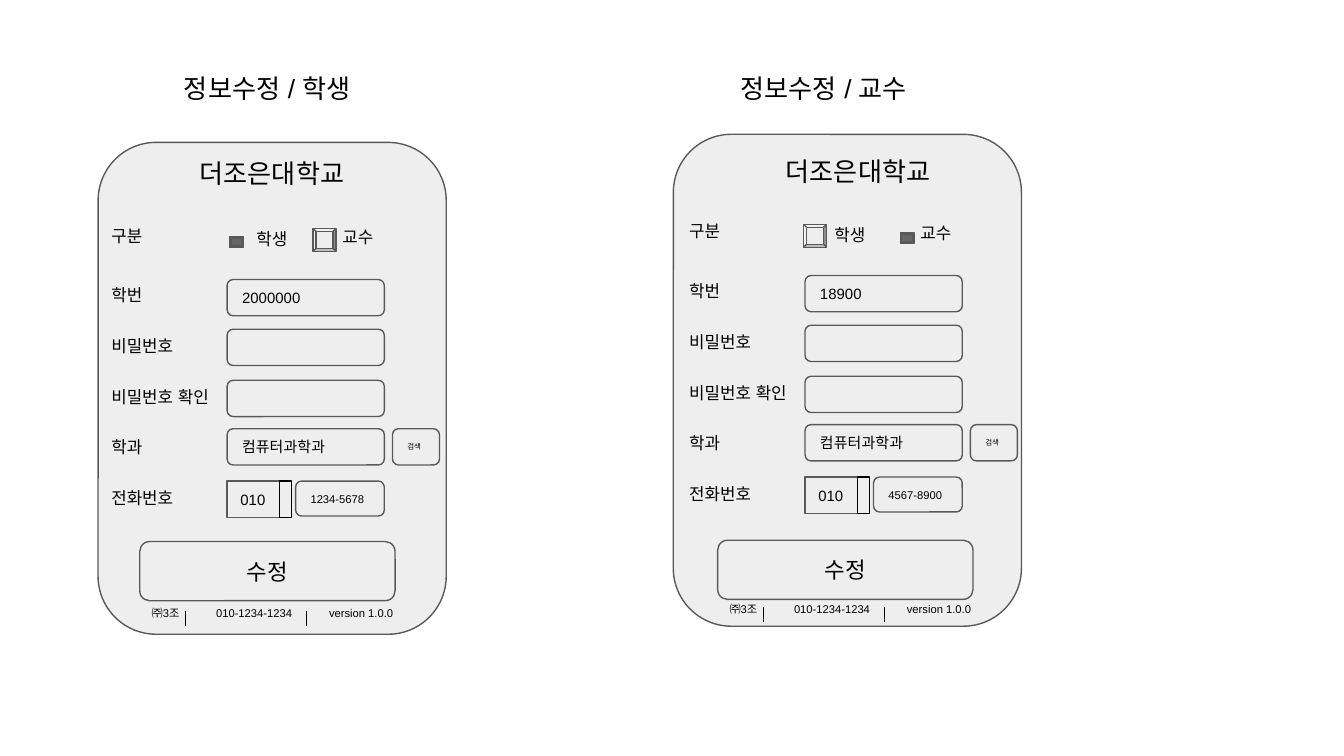
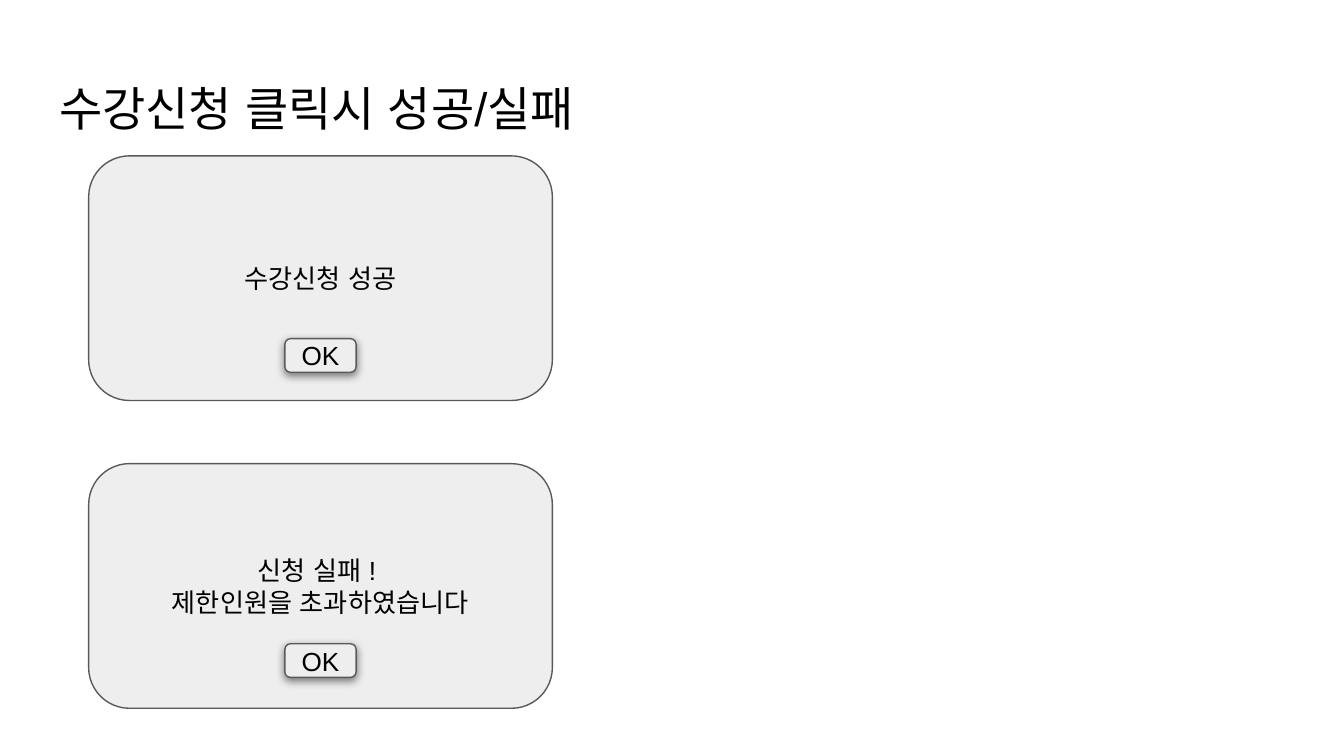
from dataclasses import dataclass

from lxml import etree
from pptx import Presentation
from pptx.dml.color import RGBColor
from pptx.enum.shapes import MSO_CONNECTOR, MSO_SHAPE
from pptx.enum.text import MSO_ANCHOR, MSO_AUTO_SIZE, PP_ALIGN
from pptx.oxml.ns import qn
from pptx.util import Inches, Pt

COLORS = {"panel": "EEEEEE", "outline": "595959", "checked": "666666", "ink": "000000"}
FONT = "Arial"
LINE_WIDTH = Pt(0.75)
FIELD_LEFT = 0.96
FIELD_SIZE = (1.17, 0.27)
LABEL_SIZE = (1.04, 0.35)
FOOTER_TABS = (0.48, 1.32)


@dataclass(frozen=True)
class Box:
    left: float
    top: float
    width: float
    height: float

    def lengths(self):
        return [Inches(value) for value in (self.left, self.top, self.width, self.height)]


@dataclass(frozen=True)
class Row:
    label: str
    label_top: float
    field_top: float


@dataclass(frozen=True)
class Option:
    label: str
    left: float
    top: float
    width: float
    height: float


@dataclass(frozen=True)
class Form:
    """One phone screen; left and top are the origin of its contents."""
    heading: str
    heading_box: Box
    panel: Box
    school_box: Box
    button_top: float
    left: float
    top: float
    mark_lefts: tuple[float, float]
    checked: int
    number: str
    phone: str

    def place(self, left: float, top: float, width: float, height: float) -> Box:
        return Box(self.left + left, self.top + top, width, height)


@dataclass(frozen=True)
class Message:
    text: str
    top: float
    ok_top: float


ROWS = (
    Row("학번", 0.44, 0.48),
    Row("비밀번호", 0.82, 0.85),
    Row("비밀번호 확인", 1.20, 1.23),
    Row("학과", 1.57, 1.59),
    Row("전화번호", 1.95, 1.98),
)
OPTIONS = (
    Option("학생", 1.08, 0.03, 0.54, 0.17),
    Option("교수", 1.72, 0.01, 0.94, 0.35),
)
FORMS = (
    Form("정보수정 / 학생", Box(1.27, 0.44, 1.58, 0.44), Box(0.73, 1.06, 2.59, 3.66),
         Box(0.91, 1.07, 2.23, 0.44), 4.03, 0.73, 1.6, (1.71, 2.33), 0,
         "2000000", "1234-5678"),
    Form("정보수정 / 교수", Box(5.41, 0.44, 1.64, 0.44), Box(5.01, 1, 2.59, 3.66),
         Box(5.27, 1.06, 2.23, 0.44), 4.02, 5.03, 1.57, (5.98, 6.7), 1,
         "18900", "4567-8900"),
)
MESSAGES = (
    Message("수강신청 성공", 1.16, 2.52),
    Message("신청 실패 ! \n제한인원을 초과하였습니다", 3.45, 4.79),
)


def rgb(name: str) -> RGBColor:
    return RGBColor.from_string(COLORS[name])


def write(shape, text: str, *, size: float, align=PP_ALIGN.LEFT, anchor=MSO_ANCHOR.TOP,
          auto_size=MSO_AUTO_SIZE.NONE, tabs: tuple[float, ...] = ()) -> None:
    frame = shape.text_frame
    frame.word_wrap = True
    frame.auto_size = auto_size
    frame.vertical_anchor = anchor
    frame.margin_left = frame.margin_right = Inches(0.1)
    frame.margin_top = frame.margin_bottom = Inches(0.1)
    frame.text = text
    for paragraph in frame.paragraphs:
        paragraph.alignment = align
        if tabs:
            tab_list = etree.SubElement(paragraph._p.get_or_add_pPr(), qn("a:tabLst"))
            for position in tabs:
                etree.SubElement(tab_list, qn("a:tab"), pos=str(Inches(position)), algn="l")
        for run in paragraph.runs:
            run.font.size = Pt(size)
            run.font.name = FONT
            run.font.color.rgb = rgb("ink")
            etree.SubElement(run._r.get_or_add_rPr(), qn("a:ea"), typeface=FONT)


def add_text(slide, box: Box, text: str, **text_format) -> None:
    write(slide.shapes.add_textbox(*box.lengths()), text,
          auto_size=MSO_AUTO_SIZE.SHAPE_TO_FIT_TEXT, **text_format)


def add_box(slide, box: Box, text: str = "", *, kind=MSO_SHAPE.ROUNDED_RECTANGLE,
            fill: str | None = "panel", line: str = "outline", size: float = 8,
            align=PP_ALIGN.LEFT):
    shape = slide.shapes.add_shape(kind, *box.lengths())
    shape.shadow.inherit = False
    if fill:
        shape.fill.solid()
        shape.fill.fore_color.rgb = rgb(fill)
    else:
        shape.fill.background()
    shape.line.color.rgb = rgb(line)
    shape.line.width = LINE_WIDTH
    if text:
        write(shape, text, size=size, align=align, anchor=MSO_ANCHOR.MIDDLE)
    return shape


def add_drop_shadow(shape) -> None:
    effects = shape._element.spPr.find(qn("a:effectLst"))
    shadow = etree.SubElement(effects, qn("a:outerShdw"), blurRad=str(Pt(4.5)),
                              dist=str(Pt(1.5)), dir="5400000", algn="bl", rotWithShape="0")
    color = etree.SubElement(shadow, qn("a:srgbClr"), val=COLORS["ink"])
    etree.SubElement(color, qn("a:alpha"), val="50000")


def add_separator(slide, box: Box) -> None:
    left, top, _, height = box.lengths()
    connector = slide.shapes.add_connector(MSO_CONNECTOR.STRAIGHT, left, top + height, left, top)
    connector.line.color.rgb = rgb("ink")
    connector.line.width = LINE_WIDTH
    etree.SubElement(connector._element.spPr, qn("a:effectLst"))


def add_options(slide, form: Form) -> None:
    add_text(slide, form.place(0, 0, 0.62, 0.35), "구분", size=9)
    for index, option in enumerate(OPTIONS):
        add_text(slide, form.place(option.left, option.top, option.width, option.height),
                 option.label, size=9)
        mark_left = form.mark_lefts[index]
        if index == form.checked:
            mark, fill = Box(mark_left, form.top + 0.16, 0.1, 0.08), "checked"
        else:
            mark, fill = Box(mark_left, form.top + 0.1, 0.17, 0.17), "panel"
        add_box(slide, mark, kind=MSO_SHAPE.BEVEL, fill=fill)


def add_phone_field(slide, form: Form, top: float) -> None:
    height = FIELD_SIZE[1]
    add_box(slide, form.place(FIELD_LEFT, top, 0.39, height), "010", kind=MSO_SHAPE.RECTANGLE)
    add_box(slide, form.place(FIELD_LEFT + 0.39, top, 0.09, height),
            kind=MSO_SHAPE.RECTANGLE, fill=None, line="ink")
    add_box(slide, form.place(FIELD_LEFT + 0.51, top, 0.66, 0.26), form.phone, size=6)


def add_form(slide, form: Form) -> None:
    add_text(slide, form.heading_box, form.heading, size=14)
    add_box(slide, form.panel)
    add_text(slide, form.school_box, "더조은대학교", size=14, align=PP_ALIGN.CENTER)
    add_options(slide, form)
    values = {"학번": form.number, "학과": "컴퓨터과학과"}
    for row in ROWS:
        add_text(slide, form.place(0, row.label_top, *LABEL_SIZE), row.label, size=9)
        if row.label == "전화번호":
            add_phone_field(slide, form, row.field_top)
            continue
        add_box(slide, form.place(FIELD_LEFT, row.field_top, *FIELD_SIZE),
                values.get(row.label, ""))
        if row.label == "학과":
            add_box(slide, form.place(2.19, row.field_top, 0.35, 0.27), "검색", size=4)
    add_box(slide, Box(form.left + 0.31, form.button_top, 1.9, 0.44), "수정",
            size=12, align=PP_ALIGN.CENTER)
    add_text(slide, form.place(0.3, 2.86, 2.6, 0.3),
             "㈜3조\t010-1234-1234\tversion 1.0.0", size=6, tabs=FOOTER_TABS)
    for left in (0.65, 1.55):
        add_separator(slide, form.place(left, 2.95, 0, 0.11))


def add_message(slide, message: Message) -> None:
    add_box(slide, Box(0.66, message.top, 3.45, 1.82), message.text,
            size=14, align=PP_ALIGN.CENTER)
    button = add_box(slide, Box(2.12, message.ok_top, 0.53, 0.25), "OK",
                     size=14, align=PP_ALIGN.CENTER)
    add_drop_shadow(button)


def main() -> None:
    presentation = Presentation()
    presentation.slide_width = Inches(10)
    presentation.slide_height = Inches(10) * 9 // 16
    title_only, blank = presentation.slide_layouts[5], presentation.slide_layouts[6]

    edit_slide = presentation.slides.add_slide(blank)
    for form in FORMS:
        add_form(edit_slide, form)

    result_slide = presentation.slides.add_slide(title_only)
    title = result_slide.shapes.title
    title.left, title.top, title.width, title.height = Box(0.34, 0.49, 9.32, 0.63).lengths()
    write(title, "수강신청 클릭시 성공/실패", size=25.2)
    for message in MESSAGES:
        add_message(result_slide, message)

    presentation.save("out.pptx")


if __name__ == "__main__":
    main()
